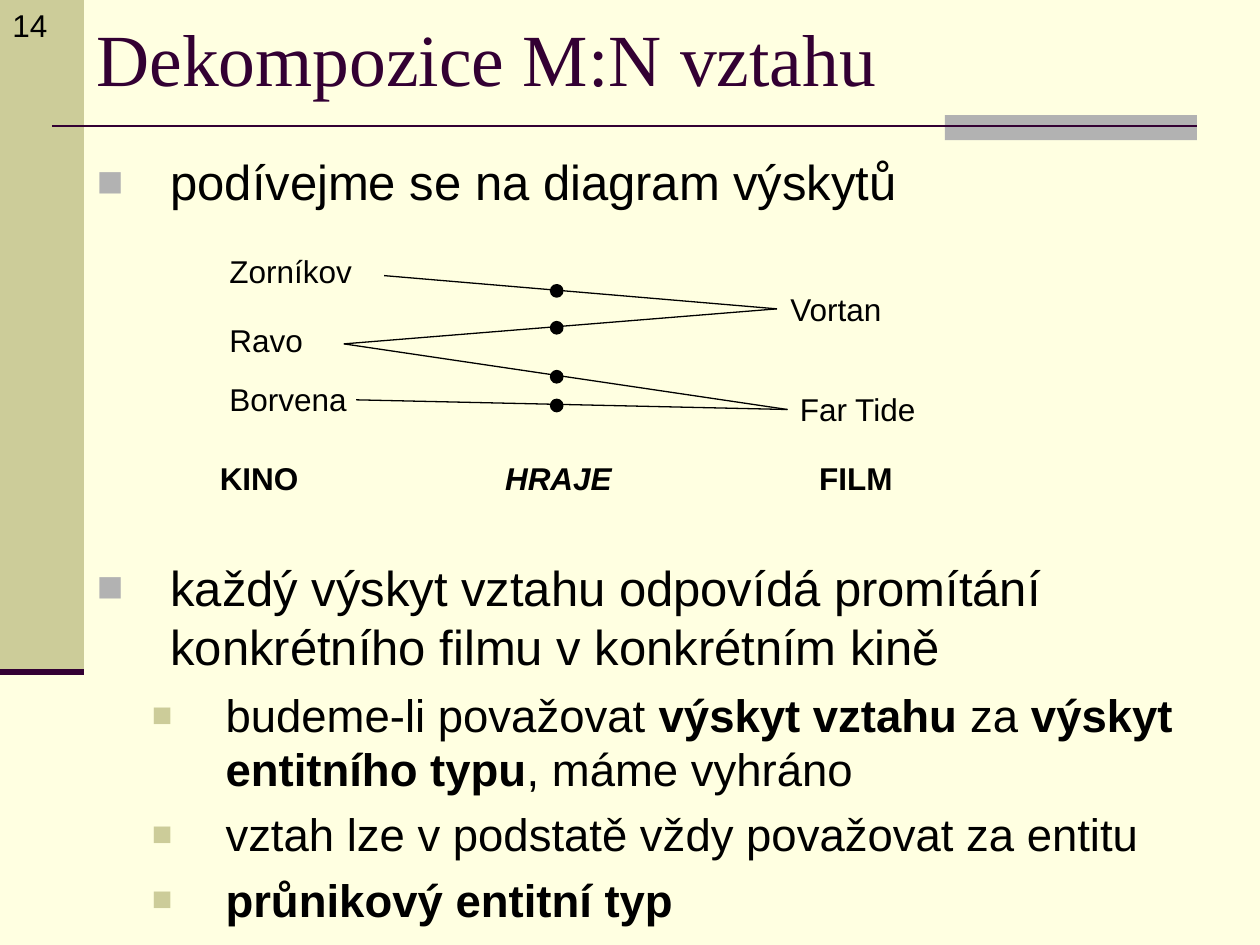
from pptx import Presentation
from pptx.dml.color import RGBColor
from pptx.enum.shapes import MSO_CONNECTOR as CONN, MSO_SHAPE as SHAPE
from pptx.enum.text import MSO_ANCHOR as ANCHOR, MSO_AUTO_SIZE as AUTO, PP_ALIGN as ALIGN
from pptx.oxml.ns import qn
from pptx.util import Pt
from lxml.etree import SubElement

COLORS = {
    "page": "FFFFE1", "khaki": "CCCC99", "gray": "B2B2B2",
    "plum": "330033", "ink": "000000",
}
BULLETS = [
    dict(size=28, left=42, line=33.7, color="gray", scale=90),
    dict(size=26, left=73.5, line=30.9, color="khaki", scale=75),
]
# level, space before, runs of (text, bold)
BODY = [
    (0, 0, [("podívejme se na diagram výskytů", False)]),
    (0, 198, [("každý výskyt vztahu odpovídá promítání "
               "konkrétního filmu v konkrétním kině", False)]),
    (1, 7, [("budeme-li považovat ", False), ("výskyt vztahu ", True),
            ("za ", False), ("výskyt entitního typu", True),
            (", máme vyhráno", False)]),
    (1, 6.5, [("vztah lze v podstatě vždy považovat za entitu", False)]),
    (1, 6.5, [("průnikový entitní typ", True)]),
]
# text, left, top, width
OCCURRENCES = [
    ("Zorníkov", 124, 140.4, 85), ("Ravo", 124, 180, 57),
    ("Borvena", 124, 213.8, 82), ("Vortan", 444.5, 162, 68),
    ("Far Tide", 450, 219.6, 82),
]
# text, left, width, italic
TYPES = [("KINO", 118.5, 60, False), ("HRAJE", 281.5, 76, True),
         ("FILM", 461, 57, False)]
FILM_1, FILM_2, CINEMA_2 = (444, 176.5), (450, 234), (196.5, 196.5)
LINKS = [((219.5, 157.5), FILM_1), (CINEMA_2, FILM_1),
         (CINEMA_2, FILM_2), ((203.5, 228.5), FILM_2)]
DOT_X, DOT_SIZE = 315.2, 5.8
DOT_TOPS = [163.3, 184.4, 212.4, 228.8]


def rgb(name):
    return RGBColor.from_string(COLORS[name])


def add_run(p, text, size, name="Arial", color="ink", **fmt):
    r = p.add_run()
    r.text = text
    for key, value in dict(fmt, size=Pt(size), name=name).items():
        setattr(r.font, key, value)
    r.font.color.rgb = rgb(color)


def add_box(s, left, top, width, height, wrap=True):
    tf = s.shapes.add_textbox(Pt(left), Pt(top), Pt(width), Pt(height)).text_frame
    tf.word_wrap = wrap
    return tf


def add_label(s, text, left, top, width, **fmt):
    """One-line text whose box grows to fit it."""
    tf = add_box(s, left, top, width, 28.8, wrap=False)
    tf.auto_size = AUTO.SHAPE_TO_FIT_TEXT
    add_run(tf.paragraphs[0], text, 18, **fmt)


def add_filled(s, kind, left, top, width, height, color, line=None):
    sp = s.shapes.add_shape(kind, Pt(left), Pt(top), Pt(width), Pt(height))
    sp.shadow.inherit = False
    sp.fill.solid()
    sp.fill.fore_color.rgb = rgb(color)
    if line:
        sp.line.color.rgb = rgb(color)
        sp.line.width = Pt(line)
    else:
        sp.line.fill.background()


def add_line(s, start, end, color, width):
    sp = s.shapes.add_connector(CONN.STRAIGHT, *map(Pt, start + end))
    sp.line.color.rgb = rgb(color)
    sp.line.width = Pt(width)
    SubElement(sp._element.spPr, qn("a:effectLst"))


def set_bullet(p, level):
    pPr = p._p.get_or_add_pPr()
    pPr.set("marL", str(Pt(level["left"])))
    pPr.set("indent", str(-Pt(42)))
    color = SubElement(pPr, qn("a:buClr"))
    SubElement(color, qn("a:srgbClr"), val=COLORS[level["color"]])
    SubElement(pPr, qn("a:buSzPct"), val=str(level["scale"] * 1000))
    SubElement(pPr, qn("a:buFont"), typeface="Arial")
    SubElement(pPr, qn("a:buChar"), char="■")


def add_frame(s):
    """Side band, title rule and accent bar."""
    add_filled(s, SHAPE.RECTANGLE, 0, 0, 48, 384, "khaki")
    add_filled(s, SHAPE.RECTANGLE, 540, 65.8, 144, 14.4, "gray")
    add_line(s, (30, 72), (684, 72), "plum", 1.5)
    add_line(s, (0, 384), (48, 384), "plum", 3.5)


def set_title(s, text):
    sp = s.shapes.title
    box = dict(left=48, top=0, width=672, height=65.5)
    for key, value in box.items():
        setattr(sp, key, Pt(value))
    tf = sp.text_frame
    tf.auto_size = AUTO.NONE
    tf.vertical_anchor = ANCHOR.MIDDLE
    p = tf.paragraphs[0]
    p.alignment = ALIGN.LEFT
    add_run(p, text, 42, "Times New Roman", "plum")


def add_body(s):
    tf = add_box(s, 48.3, 83.1, 671.7, 456.9)
    for i, (depth, before, runs) in enumerate(BODY):
        level = BULLETS[depth]
        p = tf.add_paragraph() if i else tf.paragraphs[0]
        p.level = depth
        p.space_before = Pt(before)
        p.line_spacing = Pt(level["line"])
        set_bullet(p, level)
        for text, bold in runs:
            add_run(p, text, level["size"], bold=bold)


def add_diagram(s):
    for start, end in LINKS:
        add_line(s, start, end, "ink", 0.75)
    for top in DOT_TOPS:
        add_filled(s, SHAPE.OVAL, DOT_X, top, DOT_SIZE, DOT_SIZE, "ink", 2)
    for text, left, top, width in OCCURRENCES:
        add_label(s, text, left, top, width)
    for text, left, width, italic in TYPES:
        add_label(s, text, left, 258.5, width, bold=True, italic=italic)


def main():
    prs = Presentation()
    prs.slide_width, prs.slide_height = Pt(720), Pt(540)
    s = prs.slides.add_slide(prs.slide_layouts[5])
    s.background.fill.solid()
    s.background.fill.fore_color.rgb = rgb("page")
    add_frame(s)
    set_title(s, "Dekompozice M:N vztahu")
    add_body(s)
    add_diagram(s)
    add_label(s, "14", 0, 0, 34.5)
    prs.save("out.pptx")


if __name__ == "__main__":
    main()
